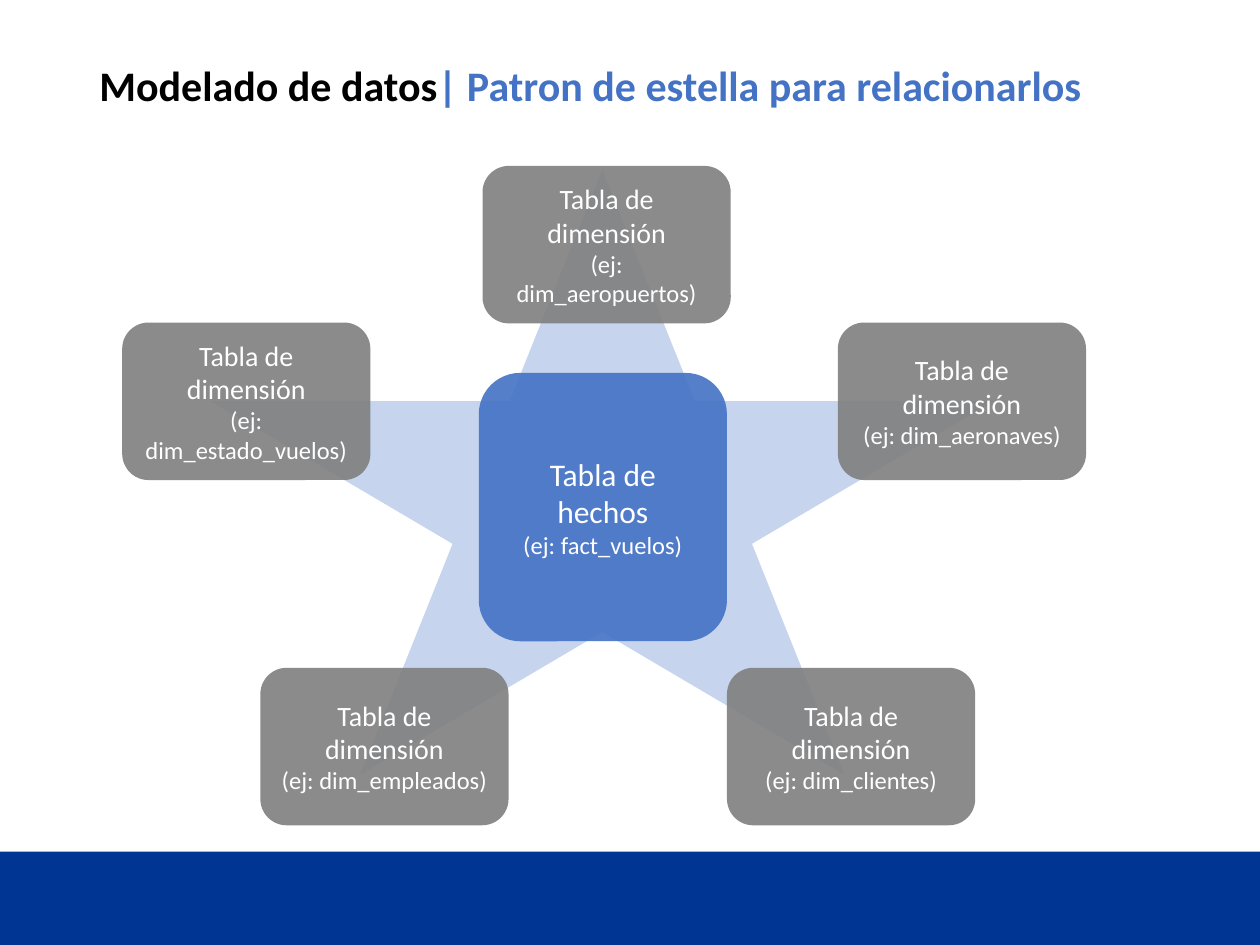
from lxml import etree
from pptx import Presentation
from pptx.dml.color import RGBColor
from pptx.enum.shapes import MSO_SHAPE
from pptx.enum.text import MSO_ANCHOR, PP_ALIGN
from pptx.oxml.ns import qn
from pptx.util import Pt

RECTANGLE = MSO_SHAPE.RECTANGLE
ROUNDED = MSO_SHAPE.ROUNDED_RECTANGLE
STAR = MSO_SHAPE.STAR_5_POINT
MIDDLE = MSO_ANCHOR.MIDDLE
LEFT, CENTER = PP_ALIGN.LEFT, PP_ALIGN.CENTER

COLORS = {
    "black": "000000",
    "white": "FFFFFF",
    "blue": "4472C4",
    "navy": "003594",
    "gray": "7F7F7F",
}

deck = Presentation()
deck.slide_width, deck.slide_height = Pt(720), Pt(540)
page = deck.slides.add_slide(deck.slide_layouts[6])


def add_figure(kind, left, top, width, height, color, opacity=100):
    figure = page.shapes.add_shape(kind, Pt(left), Pt(top), Pt(width), Pt(height))
    figure.shadow.inherit = False
    figure.line.fill.background()
    figure.fill.solid()
    figure.fill.fore_color.rgb = RGBColor.from_string(COLORS[color])
    if opacity < 100:
        color_node = figure._element.spPr.find(qn("a:solidFill"))[0]
        etree.SubElement(color_node, qn("a:alpha")).set("val", str(opacity * 1000))
    return figure


def add_text(para, text, size, color="white", bold=False, align=CENTER, spacing=1.0):
    para.alignment = align
    para.line_spacing = spacing
    span = para.add_run()
    span.text = text
    span.font.name = "Calibri"
    span.font.size = Pt(size)
    span.font.bold = bold
    span.font.color.rgb = RGBColor.from_string(COLORS[color])


add_figure(RECTANGLE, 0, 486.72, 720, 53.28, "navy")
add_figure(STAR, 120.24, 97.2, 447.84, 345.6, "blue", opacity=30)

title = page.shapes.add_textbox(Pt(49.68), Pt(28.8), Pt(620.64), Pt(42.48))
title.text_frame.word_wrap = True
title.text_frame.vertical_anchor = MIDDLE
for text, color in [
    ("Modelado de datos", "black"),
    ("| Patron de estella para relacionarlos", "blue"),
]:
    add_text(title.text_frame.paragraphs[0], text, size=24, color=color,
             bold=True, align=LEFT, spacing=0.9)

FACT = ("Tabla de hechos", 18, 153.36, "blue")
DIMENSION = ("Tabla de dimensión", 16, 90, "gray")
tables = [
    (FACT, 273.6, 213.12, "fact_vuelos"),
    (DIMENSION, 478.8, 184.32, "dim_aeronaves"),
    (DIMENSION, 69.84, 184.32, "dim_estado_vuelos"),
    (DIMENSION, 275.76, 94.8, "dim_aeropuertos"),
    (DIMENSION, 148.8, 381.6, "dim_empleados"),
    (DIMENSION, 415.44, 381.6, "dim_clientes"),
]
for (heading, size, height, color), left, top, example in tables:
    box = add_figure(ROUNDED, left, top, 141.84, height, color, opacity=90)
    frame = box.text_frame
    frame.word_wrap = True
    frame.vertical_anchor = MIDDLE
    add_text(frame.paragraphs[0], heading, size=size)
    add_text(frame.add_paragraph(), f"(ej: {example})", size=14)

deck.save("out.pptx")
